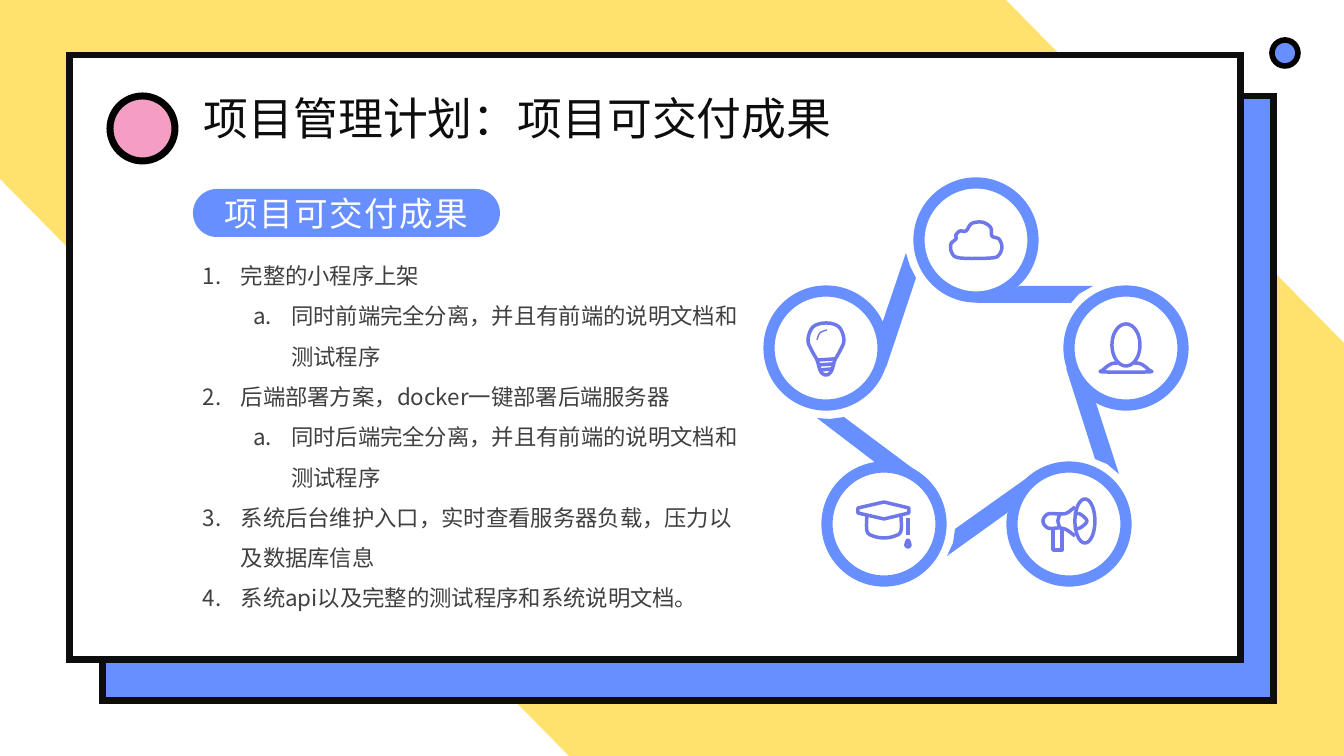
from math import cos, pi, sin
from lxml import etree
from pptx import Presentation, util as u
from pptx.dml.color import RGBColor
from pptx.enum import shapes as sh, text as tx
from pptx.oxml.ns import qn

PX = 914400 / 100.8
THEME = {
    "yellow": "FFE26D", "blue": "678FFF", "white": "FFFFFF", "ink": "0D0D0D",
    "pink": "F39EC2", "black": "000000", "gray": "404040", "violet": "6F78EB",
    "head": 32, "label": 24, "body": 16,
    "jp": "Noto Sans CJK JP", "sc": "Noto Sans CJK SC",
}
OVAL, RECT = sh.MSO_SHAPE.OVAL, sh.MSO_SHAPE.RECTANGLE
LOOP, ARC, EDGE, STROKE = (True, True), (True, False), (False, True), (False, False)

deck = Presentation()
deck.slide_width, deck.slide_height = round(1344 * PX), round(756 * PX)
slide = deck.slides.add_slide(deck.slide_layouts[6])
items = slide.shapes


def draw(form, fill=None, line=None, width=1):
    """Draw a preset (kind, x, y, w, h) or a list of ((curved, closed), points)."""
    if isinstance(form, tuple):
        kind, *box = form
        shape = items.add_shape(kind, *[round(v * PX) for v in box])
    else:
        path = None
        for (soft, shut), dots in form:
            if soft:
                ends = [dots[-1], *dots, *dots[:2]] if shut else [dots[0], *dots, dots[-1]]
                dots = [dots[0]]
                for four in zip(ends, ends[1:], ends[2:], ends[3:]):
                    for t in (0.2, 0.4, 0.6, 0.8, 1):
                        dots.append([
                            q + t * (r - p + t * (2 * p - 5 * q + 4 * r - s
                                     + t * (3 * q - p - 3 * r + s))) / 2
                            for p, q, r, s in zip(*four)])
            spots = [(x * PX, y * PX) for x, y in dots]
            if path:
                path.move_to(*spots[0])
            else:
                path = items.build_freeform(*spots[0], scale=1.0)
            path.add_line_segments(spots[1:], close=shut)
        shape = path.convert_to_shape()
    shape.shadow.inherit = False
    for part, tone in ((shape.fill, fill), (shape.line.fill, line)):
        if tone:
            part.solid()
            part.fore_color.rgb = RGBColor.from_string(THEME[tone])
        else:
            part.background()
    if line:
        shape.line.width = u.Pt(width)
        join = "a:miter" if fill else "a:round"
        etree.SubElement(shape.line._get_or_add_ln(), qn(join))
    return shape


def write(para, words, size, face, tone, gap=0):
    run = para.add_run()
    run.text = words
    look = {"size": u.Pt(THEME[size]), "name": THEME[face]}
    for key, value in look.items():
        setattr(run.font, key, value)
    run.font.color.rgb = RGBColor.from_string(THEME[tone])
    props = run.font._element
    etree.SubElement(props, qn("a:ea")).set("typeface", THEME[face])
    if gap:
        props.set("spc", str(gap))


# Backdrop and cards
draw([(EDGE, [(1006, 0), (0, 0), (0, 179), (569, 756), (1344, 756), (1344, 343)])], "yellow")
for x, y, wide, tone in ((103, 96, 1171, "blue"), (69, 55, 1172, "white")):
    draw((RECT, x, y, wide, 605), tone, "ink", 5)
draw((OVAL, 110, 96, 65, 65), "pink", "black", 5)
draw((OVAL, 1272, 40, 26, 26), "blue", "black", 4)

# Deliverables list
box = items.add_textbox(*[round(v * PX) for v in (193, 244, 562, 377)])
frame = box.text_frame
frame.word_wrap = True
goals = [
    (0, "完整的小程序上架"),
    (1, "同时前端完全分离，并且有前端的说明文档和测试程序"),
    (0, "后端部署方案，docker一键部署后端服务器"),
    (1, "同时后端完全分离，并且有前端的说明文档和测试程序"),
    (0, "系统后台维护入口，实时查看服务器负载，压力以及数据库信息"),
    (0, "系统api以及完整的测试程序和系统说明文档。"),
]
for i, (level, words) in enumerate(goals):
    para = frame.add_paragraph() if i else frame.paragraphs[0]
    props = para._p.get_or_add_pPr()
    props.set("marL", str(342900 + 457200 * level))
    props.set("indent", "-342900")
    mark = etree.SubElement(props, qn("a:buAutoNum"))
    mark.set("type", ("arabicPeriod", "alphaLcPeriod")[level])
    para.level = level
    para.line_spacing = 1.5
    write(para, words, "body", "sc", "gray")

# Section label
pill = draw((sh.MSO_SHAPE.ROUNDED_RECTANGLE, 193, 189, 307, 48), "blue")
pill.adjustments[0] = 0.5
pill.text_frame.vertical_anchor = tx.MSO_ANCHOR.MIDDLE
para = pill.text_frame.paragraphs[0]
para.alignment = tx.PP_ALIGN.CENTER
write(para, "项目可交付成果", "label", "jp", "white", 100)

# Ring of five linked circles
links = [
    ((976, 240), [(976, 303), (1071, 303), (1079, 294), (1093, 286), (1020, 286)]),
    ((1126, 348), [(1066, 368), (1095, 459), (1107, 464), (1119, 474), (1096, 403)]),
    ((1069, 524), [(1031, 475), (955, 529), (953, 543), (947, 556), (1007, 513)]),
    ((884, 524), [(923, 476), (844, 417), (830, 419), (817, 418), (876, 463)]),
    ((826, 348), [(906, 253), (883, 321), (886, 368), (916, 278), (910, 266)]),
]
for (x, y), bar in links:
    draw([(EDGE, bar)], "blue")
    draw((OVAL, x - 57, y - 57, 114, 114), "white", "blue", 8)

# Icons
turns = [(cos(k * pi / 6), sin(k * pi / 6)) for k in range(12)]
half = [(13, 327), (18, 340), (14, 351), (9, 360), (6, 370), (3, 374)]
cloud = [
    (LOOP, [(960, 258), (991, 258), (999, 255), (1002, 247), (999, 239), (992, 236),
            (991, 228), (985, 223), (978, 222), (971, 224), (966, 231), (960, 231),
            (956, 235), (956, 239), (951, 244), (952, 253)]),
]
cap = [
    (EDGE, [(884, 502), (909, 508), (909, 513), (884, 519), (858, 513), (858, 508)]),
    (ARC, [(867, 515), (867, 531), (873, 536), (884, 538), (895, 536), (901, 531), (901, 515)]),
    (STROKE, [(908, 518), (908, 535)]),
    (LOOP, [(908, 540), (910, 545), (908, 547), (906, 545)]),
]
person = [
    (LOOP, [(1126 + 14 * x, 345 + 21 * y) for x, y in turns]),
    (ARC, [(1118, 363), (1111, 364), (1103, 370), (1104, 372), (1148, 372),
           (1149, 370), (1141, 364), (1134, 363)]),
]
bulb = [
    (LOOP, [(826, 323)] + [(826 + x, y) for x, y in half] + [(826, 375)]
     + [(826 - x, y) for x, y in reversed(half)]),
    (STROKE, [(818, 360), (834, 359)]),
    (STROKE, [(819, 365), (833, 364)]),
    (STROKE, [(821, 370), (831, 369)]),
]
horn = [
    (LOOP, [(1085 + 10 * x, 521 + 22 * y) for x, y in turns]),
    (ARC, [(1075, 507), (1067, 513), (1060, 514), (1048, 514), (1043, 521),
           (1048, 528), (1060, 528), (1067, 530), (1075, 536)]),
    (ARC, [(1060, 514), (1058, 521), (1060, 528)]),
    (ARC, [(1074, 514), (1080, 514), (1087, 521), (1080, 528), (1074, 528)]),
    (STROKE, [(1053, 528), (1053, 550), (1062, 550), (1062, 528)]),
]
for icon in (cloud, cap, person, bulb, horn):
    draw(icon, None, "violet", 2.5)
draw([(ARC, [(827, 330), (820, 333), (817, 340)])], None, "violet", 1)

# Title
box = items.add_textbox(*[round(v * PX) for v in (194, 86, 652, 65)])
box.text_frame.word_wrap = True
para = box.text_frame.paragraphs[0]
para.alignment = tx.PP_ALIGN.JUSTIFY
write(para, "项目管理计划：项目可交付成果", "head", "jp", "ink")

deck.save("out.pptx")
